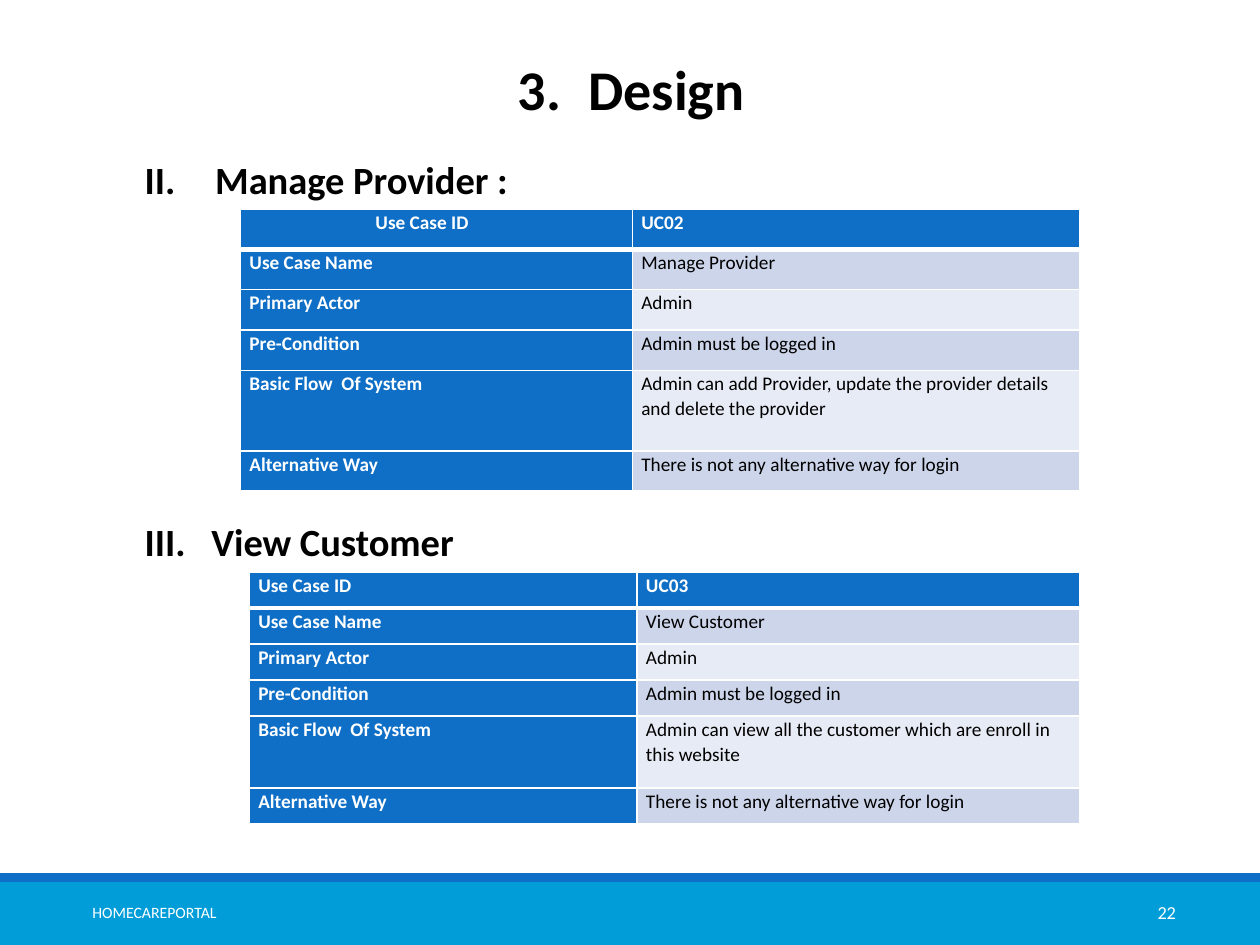
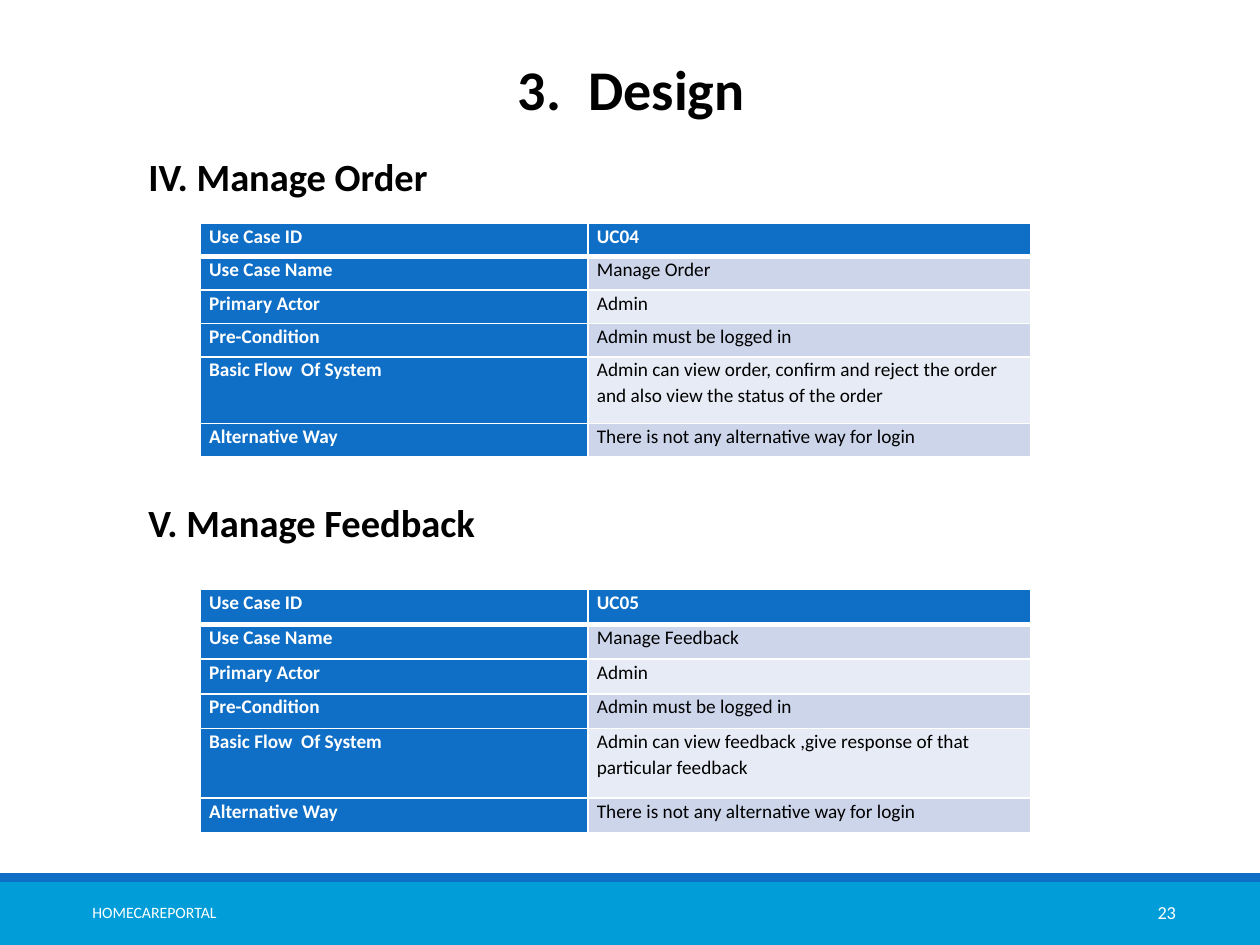
from lxml import etree
from pptx import Presentation
from pptx.dml.color import RGBColor
from pptx.enum.shapes import MSO_SHAPE
from pptx.enum.text import MSO_ANCHOR, MSO_AUTO_SIZE, PP_ALIGN
from pptx.oxml.ns import qn
from pptx.util import Inches, Pt

RECT = MSO_SHAPE.RECTANGLE
TOP, MIDDLE = MSO_ANCHOR.TOP, MSO_ANCHOR.MIDDLE
LEFT, CENTER, JUSTIFY = PP_ALIGN.LEFT, PP_ALIGN.CENTER, PP_ALIGN.JUSTIFY
GROW = MSO_AUTO_SIZE.SHAPE_TO_FIT_TEXT

# Content
TITLE, TITLE_NUMBER = "Design", 3
FOOTER = "HOMECAREPORTAL"
LABELS = ["Use Case ID", "Use Case Name", "Primary Actor", "Pre-Condition",
          "Basic Flow  Of System", "Alternative Way"]
ACTOR, CONDITION = "Admin", "Admin must be logged in"
ALTERNATIVE = "There is not any alternative way for login"

# One entry per use case; "number" gives an automatic Roman numeral,
# "box" and "table" are left, top, width, height in inches
SLIDES = [
    (22, [
        dict(heading="Manage Provider :", number=2, margin=1.06, hang=0.56,
             box=(0.55, 1.01, 9.06, 0.66), table=(1.91, 1.66, 6.66, 2.24),
             id="UC02", id_indent=1, name="Manage Provider",
             flow="Admin can add Provider, update the provider details "
                  "and delete the provider"),
        dict(heading="View Customer", number=3, margin=1.03, hang=0.53,
             box=(0.55, 3.88, 9.06, 0.6), table=(1.98, 4.54, 6.59, 2),
             id="UC03", name="View Customer",
             flow="Admin can view all the customer which are enroll in "
                  "this website"),
    ]),
    (23, [
        dict(heading="IV. Manage Order", margin=0.5,
             box=(0.58, 0.98, 9.06, 0.6), table=(1.59, 1.77, 6.59, 1.86),
             id="UC04", name="Manage Order",
             flow="Admin can view order, confirm and reject the order "
                  "and also view the status of the order"),
        dict(heading="V. Manage Feedback", margin=0.5,
             box=(0.58, 3.73, 9.06, 0.66), table=(1.59, 4.68, 6.59, 1.93),
             id="UC05", name="Manage Feedback",
             flow="Admin can view feedback ,give response of that "
                  "particular feedback"),
    ]),
]

# Shared style
FONT = "Calibri"
COLORS = dict(blue="0F6FC6", cyan="009DD9", white="FFFFFF", black="000000",
              odd="CCD5EA", even="E7EBF5")
BANDS = [("cyan", 7, 0.5), ("blue", 6.93, 0.07)]
ROW_UNITS = [1, 1, 1, 1, 2, 1]
LABEL_SHARE = 0.467


def rgb(name):
    return RGBColor.from_string(COLORS[name])


def write(tf, text, size, color="black", bold=False, align=LEFT, margin=0,
          hang=0, number=None, scheme="arabicPeriod", spacing=None, after=0):
    """Fill a text frame with one formatted paragraph."""
    p = tf.paragraphs[0]
    p.alignment, p.space_after = align, Pt(after)
    if spacing:
        p.line_spacing = spacing
    pPr = p._p.get_or_add_pPr()
    pPr.set("marL", str(Inches(margin)))
    pPr.set("indent", str(-Inches(hang)))
    if number:
        etree.SubElement(pPr, qn("a:buFont"), typeface="+mj-lt")
        etree.SubElement(pPr, qn("a:buAutoNum"), type=scheme,
                         startAt=str(number))
    r = p.add_run()
    r.text = text
    r.font.name, r.font.size, r.font.bold = FONT, Pt(size), bold
    r.font.color.rgb = rgb(color)


def add_text(s, box, text, size, anchor=TOP, grow=False, **fmt):
    tf = s.shapes.add_textbox(*map(Inches, box)).text_frame
    tf.word_wrap, tf.vertical_anchor = True, anchor
    if grow:
        tf.auto_size = GROW
    write(tf, text, size, **fmt)


def set_borders(cell, bottom):
    tcPr = cell._tc.get_or_add_tcPr()
    widths = dict(lnL=1, lnR=1, lnT=1, lnB=bottom)
    for i, (side, width) in enumerate(widths.items()):
        ln = etree.Element(qn("a:" + side), w=str(Pt(width)))
        fill = etree.SubElement(ln, qn("a:solidFill"))
        etree.SubElement(fill, qn("a:srgbClr"), val=COLORS["white"])
        tcPr.insert(i, ln)


def add_use_case(s, case):
    # Heading
    add_text(s, case["box"], case["heading"], 22, grow=True, bold=True,
             align=JUSTIFY, spacing=1.5, margin=case["margin"],
             hang=case.get("hang", 0), number=case.get("number"),
             scheme="romanUcPeriod")

    # Table
    values = [case["id"], case["name"], ACTOR, CONDITION, case["flow"],
              ALTERNATIVE]
    left, top, width, height = case["table"]
    table = s.shapes.add_table(len(LABELS), 2, Inches(left), Inches(top),
                               Inches(width), Inches(height)).table
    for col, share in zip(table.columns, (LABEL_SHARE, 1 - LABEL_SHARE)):
        col.width = Inches(width * share)
    for i, (units, pair) in enumerate(zip(ROW_UNITS, zip(LABELS, values))):
        table.rows[i].height = Inches(height * units / sum(ROW_UNITS))
        for j, text in enumerate(pair):
            cell = table.cell(i, j)
            strong = i == 0 or j == 0
            cell.margin_left = cell.margin_right = Inches(0.07)
            cell.margin_top = cell.margin_bottom = 0
            cell.fill.solid()
            cell.fill.fore_color.rgb = rgb(
                "blue" if strong else "odd" if i % 2 else "even")
            set_borders(cell, bottom=1 if i else 3)
            write(cell.text_frame, text, 11, bold=strong,
                  color="white" if strong else "black", spacing=1.07,
                  after=0 if j else 5,
                  margin=case.get("id_indent", 0) if i == j == 0 else 0)


def add_frame(s, page):
    """Bands, footer, page number and title."""
    for color, top, height in BANDS:
        sp = s.shapes.add_shape(RECT, 0, Inches(top), Inches(10),
                                Inches(height))
        sp.shadow.inherit = False
        sp.fill.solid()
        sp.fill.fore_color.rgb = rgb(color)
        sp.line.fill.background()
    small = dict(anchor=MIDDLE, align=CENTER, color="white")
    add_text(s, (8.72, 7.04, 1.08, 0.4), str(page), 10.5, **small)
    add_text(s, (0.23, 7.04, 1.99, 0.4), FOOTER, 9, **small)
    add_text(s, (0.48, 0.38, 9.06, 0.64), TITLE, 32, grow=True, bold=True,
             align=CENTER, margin=0.56, hang=0.56, number=TITLE_NUMBER)


def main():
    prs = Presentation()
    prs.slide_width, prs.slide_height = Inches(10), Inches(7.5)
    for page, cases in SLIDES:
        s = prs.slides.add_slide(prs.slide_layouts[6])
        add_frame(s, page)
        for case in cases:
            add_use_case(s, case)
    prs.save("out.pptx")


if __name__ == "__main__":
    main()
